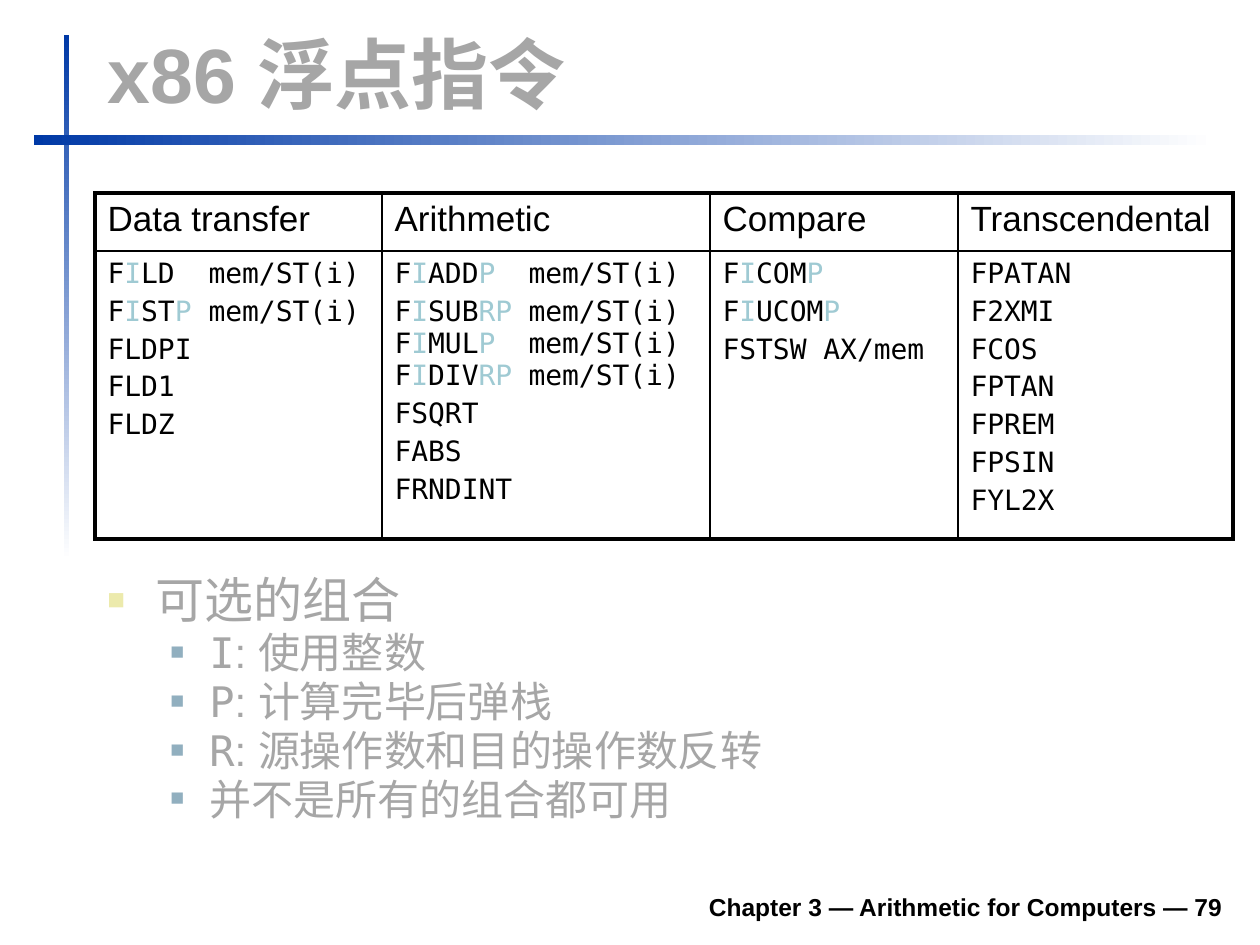
import pptx
import pptx.util
import pptx.dml.color
import pptx.enum.shapes
import pptx.enum.text
import pptx.oxml
import pptx.oxml.ns

RGB = pptx.dml.color.RGBColor
BLUE, WHITE, BLACK = RGB(0, 0x39, 0xA6), RGB(255, 255, 255), RGB(0, 0, 0)
GREY, TEAL = RGB(0xA6, 0xA6, 0xA6), RGB(0x9F, 0xCA, 0xD3)
SANS, MONO = "Arial", "DejaVu Sans Mono"
ALIGN, ANCHOR = pptx.enum.text.PP_ALIGN, pptx.enum.text.MSO_ANCHOR

# Content: [..] marks the optional letters of an instruction
TITLE = "x86 浮点指令"
FOOT = "Chapter 3 — Arithmetic for Computers — 79"
# heading, width, tab stop, instructions
COLS = [
    ("Data transfer", 287, 101, [
        "F[I]LD\tmem/ST(i)", "F[I]ST[P]\tmem/ST(i)", "FLDPI", "FLD1", "FLDZ"]),
    ("Arithmetic", 328, 134, [
        "F[I]ADD[P]\tmem/ST(i)",
        "F[I]SUB[RP]\tmem/ST(i)\nF[I]MUL[P]\tmem/ST(i)\nF[I]DIV[RP]\tmem/ST(i)",
        "FSQRT", "FABS", "FRNDINT"]),
    ("Compare", 248, None, ["F[I]COM[P]", "F[I]UCOM[P]", "FSTSW AX/mem"]),
    ("Transcendental", 275, None, [
        "FPATAN", "F2XMI", "FCOS", "FPTAN", "FPREM", "FPSIN", "FYL2X"]),
]
ROWS = [58, 288]
# level, code letter, text
NOTES = [
    (0, "", "可选的组合"),
    (1, "I", ": 使用整数"),
    (1, "P", ": 计算完毕后弹栈"),
    (1, "R", ": 源操作数和目的操作数反转"),
    (1, "", "并不是所有的组合都可用"),
]
# size, left margin, hanging indent, bullet colour, bullet percent
LEVELS = [(28, 48, 48, "ECEAAC", 60), (24, 102, 39, "91AFBF", 55)]


def px(n):
    return pptx.util.Emu(round(n * 914400 / 126))


def add_xml(node, text):
    ns = pptx.oxml.ns.nsdecls("a")
    node.append(pptx.oxml.parse_xml(text.replace(" ", f" {ns} ", 1)))


def style(para, size, color, face=SANS, bold=False, gap=0):
    font = para.font
    font.size, font.name, font.bold = pptx.util.Pt(size), face, bold
    font.color.rgb = color
    if gap:
        para.space_before = pptx.util.Pt(round(size * gap, 1))


def add_box(slide, x, y, w, h, anchor=ANCHOR.TOP):
    frame = slide.shapes.add_textbox(px(x), px(y), px(w), px(h)).text_frame
    frame.word_wrap = True
    frame.vertical_anchor = anchor
    return frame


def next_para(frame, index):
    return frame.add_paragraph() if index else frame.paragraphs[0]


def add_bar(slide, x, y, w, h, angle):
    bar = slide.shapes.add_shape(
        pptx.enum.shapes.MSO_SHAPE.RECTANGLE, px(x), px(y), px(w), px(h))
    bar.shadow.inherit = False
    bar.line.fill.background()
    bar.fill.gradient()
    bar.fill.gradient_angle = angle
    for stop, color in zip(bar.fill.gradient_stops, (BLUE, WHITE)):
        stop.color.rgb = color


def add_code(para, text, tab):
    if tab:
        add_xml(para._p.get_or_add_pPr(),
                f'<a:tabLst ><a:tab pos="{px(tab)}" algn="l"/></a:tabLst>')
    style(para, 16, BLACK, MONO, gap=0.2)
    for num, line in enumerate(text.split("\n")):
        if num:
            para.add_line_break()
        for pos, part in enumerate(line.replace("]", "[").split("[")):
            if part:
                run = para.add_run()
                run.text = part
                if pos % 2:
                    run.font.color.rgb = TEAL


def set_edges(cell, row, col):
    last = len(COLS) - 1
    edges = {
        "L": 1 if col else 2.25,
        "R": 2.25 if col == last else 1,
        "T": 1.5 if row else 2.25,
        "B": 2.25 if row else 1.5,
    }
    for side, width in edges.items():
        add_xml(cell._tc.get_or_add_tcPr(),
                f'<a:ln{side} w="{pptx.util.Pt(width)}"><a:solidFill>'
                f'<a:srgbClr val="{BLACK}"/></a:solidFill></a:ln{side}>')
    cell.fill.background()


def add_grid(slide):
    wide = sum(col[1] for col in COLS)
    grid = slide.shapes.add_table(
        len(ROWS), len(COLS), px(95), px(193), px(wide), px(sum(ROWS))).table
    grid.first_row = grid.horz_banding = False
    for row, high in zip(grid.rows, ROWS):
        row.height = px(high)
    for col, (head, width, tab, codes) in enumerate(COLS):
        grid.columns[col].width = px(width)
        top, body = grid.cell(0, col), grid.cell(1, col)
        top.text = head
        style(top.text_frame.paragraphs[0], 20, BLACK, gap=0.2)
        for num, code in enumerate(codes):
            add_code(next_para(body.text_frame, num), code, tab)
        set_edges(top, 0, col)
        set_edges(body, 1, col)


def add_notes(slide):
    frame = add_box(slide, 95, 575, 1140, 285)
    for num, (level, code, text) in enumerate(NOTES):
        size, left, hang, color, scale = LEVELS[level]
        para = next_para(frame, num)
        para.level = level
        props = para._p.get_or_add_pPr()
        props.set("marL", str(px(left)))
        props.set("indent", str(-px(hang)))
        add_xml(props, f'<a:buClr ><a:srgbClr val="{color}"/></a:buClr>')
        add_xml(props, f'<a:buSzPct val="{scale * 1000}"/>')
        add_xml(props, f'<a:buFont typeface="{SANS}"/>')
        add_xml(props, '<a:buChar char="■"/>')
        para.line_spacing = 0.8
        style(para, size, GREY, gap=0.2)
        if code:
            run = para.add_run()
            run.text, run.font.name = code, MONO
        para.add_run().text = text


def main():
    deck = pptx.Presentation()
    deck.slide_width, deck.slide_height = px(1260), px(945)
    slide = deck.slides.add_slide(deck.slide_layouts[6])

    # Crossed bars
    add_bar(slide, 64, 35, 5, 525, 270)
    add_bar(slide, 34, 135, 1181, 10, 0)

    # Footer and title
    foot = add_box(slide, 233, 879, 1002, 49, ANCHOR.BOTTOM).paragraphs[0]
    foot.text, foot.alignment = FOOT, ALIGN.RIGHT
    style(foot, 14, BLACK, bold=True)
    title = add_box(slide, 95, 20, 1138, 105, ANCHOR.BOTTOM).paragraphs[0]
    title.text = TITLE
    style(title, 44, GREY, bold=True)

    # Notes and instruction table
    add_notes(slide)
    add_grid(slide)
    deck.save("out.pptx")


if __name__ == "__main__":
    main()
